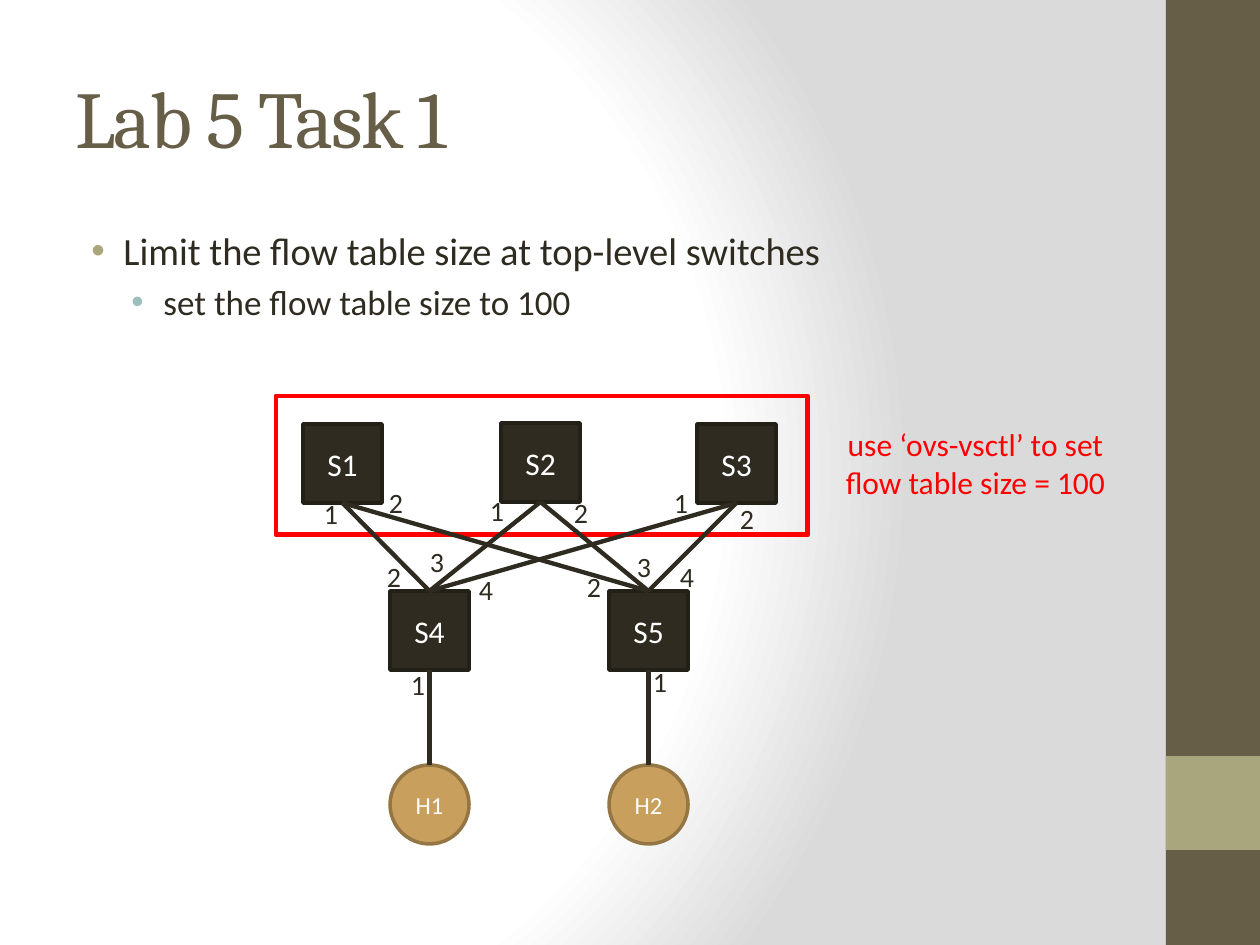
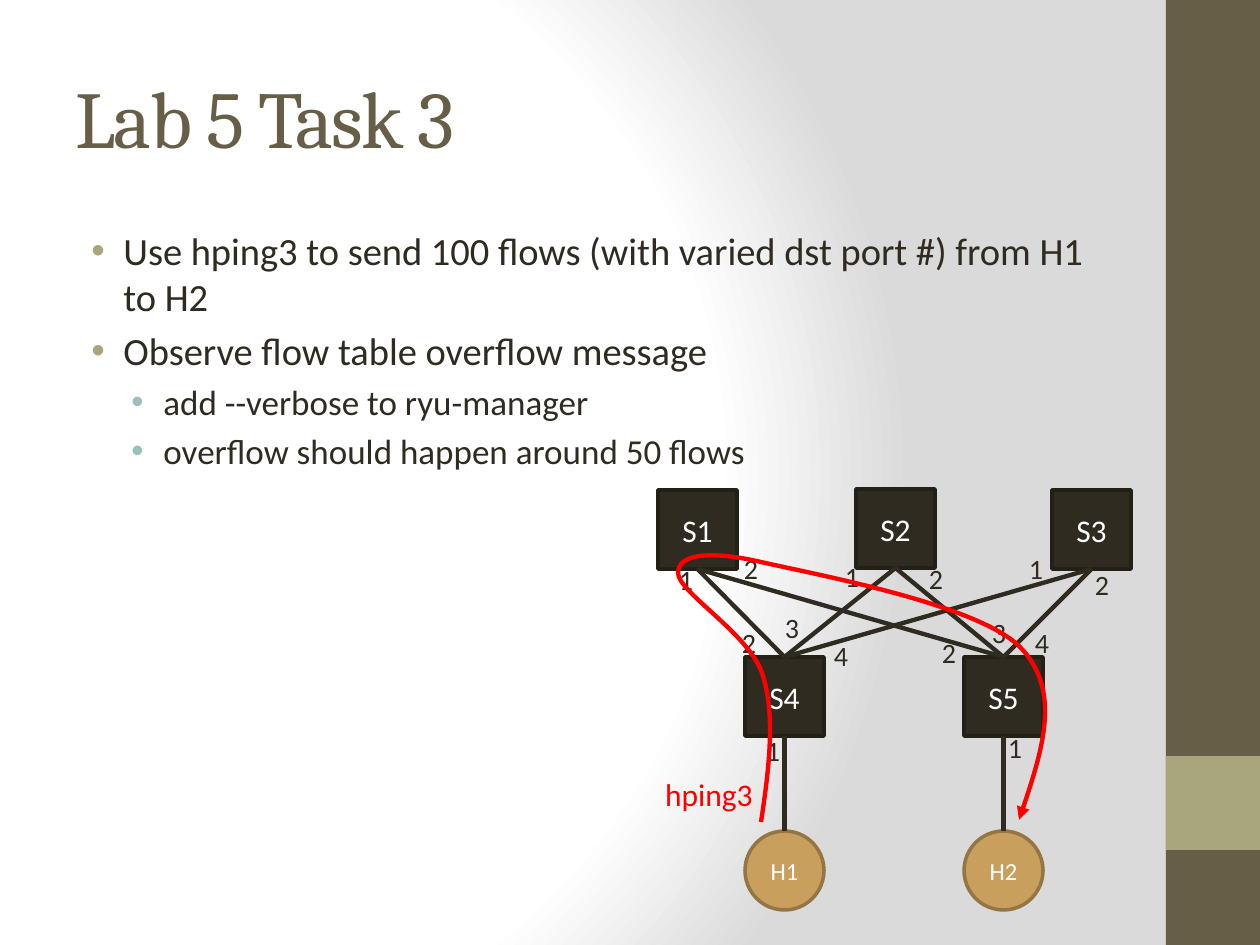
"""Builds two lab slides that show a switch topology."""
import lxml.etree
import pptx
import pptx.dml.color
import pptx.enum.shapes
import pptx.enum.text
import pptx.oxml
import pptx.oxml.ns
import pptx.util

SCALE = 914400 / 126
HEADING, BODY = "Cambria", "Calibri"
BROWN, OLIVE, TEAL = "675E47", "A9A57C", "9CBEBD"
DARK, DARK_EDGE = "2F2B20", "232018"
TAN, TAN_EDGE = "C89F5D", "947645"
RED, WHITE, GREY = "FF0000", "FFFFFF", "DADADA"

RECTANGLE = pptx.enum.shapes.MSO_SHAPE.RECTANGLE
OVAL = pptx.enum.shapes.MSO_SHAPE.OVAL
CENTER = pptx.enum.text.PP_ALIGN.CENTER
MIDDLE = pptx.enum.text.MSO_ANCHOR.MIDDLE
TOP = pptx.enum.text.MSO_ANCHOR.TOP

NODE_SIZE = 79
SWITCHES = {"S1": (303, 424), "S2": (501, 423), "S3": (697, 424),
            "S4": (390, 591), "S5": (609, 591)}
HOSTS = {"H1": (390, 765), "H2": (609, 765)}
LINKS = [(top, bottom) for top in ("S1", "S2", "S3") for bottom in ("S4", "S5")]
LINKS += [("S4", "H1"), ("S5", "H2")]
PORTS = [("1", 309, 499), ("2", 374, 488), ("1", 475, 496), ("2", 559, 498),
         ("1", 659, 488), ("2", 725, 504), ("2", 372, 562), ("3", 415, 547),
         ("4", 464, 575), ("2", 572, 572), ("3", 622, 552), ("4", 665, 562),
         ("1", 396, 670), ("1", 638, 667)]
FLOW_START = (761, 822)
FLOW_CURVE = [(769, 769), (776, 714), (762, 673),
              (748, 633), (678, 592), (678, 573),
              (678, 556), (704, 549), (761, 562),
              (818, 575), (975, 604), (1019, 646),
              (1062, 689), (1041, 755), (1019, 820)]


def emu(*pixels):
    """Turn pixel lengths into a list of EMU lengths."""
    return [pptx.util.Emu(round(value * SCALE)) for value in pixels]


def color(value):
    """Turn a hex string into a colour."""
    return pptx.dml.color.RGBColor.from_string(value)


def tag(name):
    """Give the full XML name of a prefixed tag."""
    return pptx.oxml.ns.qn(name)


def set_line(line, value, width):
    """Set the colour and the width in points of a line."""
    line.color.rgb = color(value)
    line.width = pptx.util.Pt(width)


def add_run(paragraph, text, size, value, font=BODY):
    """Add one formatted run to a paragraph."""
    run = paragraph.add_run()
    run.text = text
    run.font.size = pptx.util.Pt(size)
    run.font.name = font
    run.font.color.rgb = color(value)
    return run


def add_shape(shapes, kind, box, fill=None, edge=None, width=2):
    """Add a preset shape with an optional fill and edge."""
    shape = shapes.add_shape(kind, *emu(*box))
    shape.shadow.inherit = False
    if fill:
        shape.fill.solid()
        shape.fill.fore_color.rgb = color(fill)
    else:
        shape.fill.background()
    if edge:
        set_line(shape.line, edge, width)
    else:
        shape.line.fill.background()
    return shape


def add_text_box(shapes, box, anchor=MIDDLE):
    """Add an empty wrapping text box and return its frame."""
    frame = shapes.add_textbox(*emu(*box)).text_frame
    frame.word_wrap = True
    frame.vertical_anchor = anchor
    return frame


def add_label(shapes, text, box, size, value):
    """Add a centred one-paragraph label."""
    paragraph = add_text_box(shapes, box).paragraphs[0]
    paragraph.alignment = CENTER
    add_run(paragraph, text, size, value)


def add_node(shapes, kind, name, position, size, fill, edge):
    """Add a named switch or host."""
    node = add_shape(shapes, kind, (*position, NODE_SIZE, NODE_SIZE), fill, edge)
    node.text_frame.vertical_anchor = MIDDLE
    node.text_frame.word_wrap = False
    paragraph = node.text_frame.paragraphs[0]
    paragraph.alignment = CENTER
    add_run(paragraph, name, size, WHITE)
    return node


def add_link(shapes, upper, lower):
    """Join the bottom of one node to the top of another."""
    connector = shapes.add_connector(
        pptx.enum.shapes.MSO_CONNECTOR.STRAIGHT,
        upper.left + upper.width // 2, upper.top + upper.height,
        lower.left + lower.width // 2, lower.top)
    connector.begin_connect(upper, 2)
    connector.end_connect(lower, 0)
    set_line(connector.line, DARK, 2.5)
    lxml.etree.SubElement(connector._element.spPr, tag("a:effectLst"))


def add_topology(slide, right=0, down=0):
    """Add the grouped network, moved by the given pixels."""
    shapes = slide.shapes.add_group_shape().shapes
    nodes = {}
    for name, (x, y) in SWITCHES.items():
        nodes[name] = add_node(shapes, RECTANGLE, name, (x + right, y + down),
                               18, DARK, DARK_EDGE)
    for name, (x, y) in HOSTS.items():
        nodes[name] = add_node(shapes, OVAL, name, (x + right, y + down),
                               14, TAN, TAN_EDGE)
    for upper, lower in LINKS:
        add_link(shapes, nodes[upper], nodes[lower])
    for number, x, y in PORTS:
        add_label(shapes, number, (x + right, y + down, 44, 29), 16, DARK)


def add_curve_arrow(slide, start, points):
    """Add a Bezier arrow; each three points make one curve."""
    builder = slide.shapes.build_freeform(*start, scale=SCALE)
    builder.add_line_segments(points, close=False)
    shape = builder.convert_to_shape()
    shape.shadow.inherit = False
    shape.fill.background()
    set_line(shape.line, RED, 2.5)
    segments = list(shape._element.iter(tag("a:lnTo")))
    for index in range(0, len(segments), 3):
        trio = segments[index:index + 3]
        curve = lxml.etree.Element(tag("a:cubicBezTo"))
        trio[0].addprevious(curve)
        for segment in trio:
            curve.append(segment[0])
            segment.getparent().remove(segment)
    outline = shape._element.spPr.find(tag("a:ln"))
    lxml.etree.SubElement(outline, tag("a:tailEnd"), type="triangle")


def add_bullets(slide, items):
    """Add the body list from (level, text) pairs."""
    frame = add_text_box(slide.shapes, (63, 221, 1050, 661), TOP)
    styles = [(48, 22, OLIVE), (88, 20, TEAL)]
    for index, (level, text) in enumerate(items):
        paragraph = frame.add_paragraph() if index else frame.paragraphs[0]
        margin, size, bullet = styles[level]
        paragraph.level = level
        paragraph.space_before = pptx.util.Pt(size * 0.2)
        add_run(paragraph, text, size, DARK)
        properties = paragraph._p.get_or_add_pPr()
        left, indent = emu(margin, -32)
        properties.set("marL", str(left))
        properties.set("indent", str(indent))
        bullet_color = lxml.etree.SubElement(properties, tag("a:buClr"))
        lxml.etree.SubElement(bullet_color, tag("a:srgbClr"), val=bullet)
        lxml.etree.SubElement(properties, tag("a:buFont"), typeface="Arial")
        lxml.etree.SubElement(properties, tag("a:buChar"), char="•")


def set_background(slide):
    """Fill the background with the radial white to grey gradient."""
    slide.background.fill.solid()
    stops = "".join(
        f'<a:gs pos="{position}000"><a:srgbClr val="{value}"/></a:gs>'
        for position, value in ((0, WHITE), (75, WHITE), (100, GREY)))
    gradient = pptx.oxml.parse_xml(
        f'<a:gradFill {pptx.oxml.ns.nsdecls("a")} rotWithShape="1">'
        f'<a:gsLst>{stops}</a:gsLst><a:path path="circle">'
        '<a:fillToRect l="20000" t="50000" r="100000" b="50000"/>'
        '</a:path></a:gradFill>')
    solid = next(slide._element.cSld.iter(tag("a:solidFill")))
    solid.getparent().replace(solid, gradient)


def add_slide(presentation, title, items):
    """Add a slide with the shared background, bands, title and list."""
    slide = presentation.slides.add_slide(presentation.slide_layouts[6])
    set_background(slide)
    add_shape(slide.shapes, RECTANGLE, (1166, 0, 94, 945), BROWN)
    add_shape(slide.shapes, RECTANGLE, (1166, 756, 94, 94), OLIVE)
    frame = add_text_box(slide.shapes, (63, 38, 1050, 157))
    run = add_run(frame.paragraphs[0], title, 46, BROWN, HEADING)
    run._r.get_or_add_rPr().set("spc", "-100")
    add_bullets(slide, items)
    return slide


def main():
    """Build and save the presentation."""
    presentation = pptx.Presentation()
    presentation.slide_width, presentation.slide_height = emu(1260, 945)

    slide = add_slide(presentation, "Lab 5 Task 1", [
        (0, "Limit the flow table size at top-level switches"),
        (1, "set the flow table size to 100")])
    add_shape(slide.shapes, RECTANGLE, (276, 396, 532, 139), edge=RED, width=2.75)
    add_label(slide.shapes, "use ‘ovs-vsctl’ to set flow table size = 100",
              (823, 430, 305, 66), 18, RED)
    add_topology(slide)

    slide = add_slide(presentation, "Lab 5 Task 3", [
        (0, "Use hping3 to send 100 flows (with varied dst port #) from H1 to H2"),
        (0, "Observe flow table overflow message"),
        (1, "add --verbose to ryu-manager"),
        (1, "overflow should happen around 50 flows")])
    add_label(slide.shapes, "hping3", (636, 761, 146, 66), 18, RED)
    add_topology(slide, 355, 66)
    add_curve_arrow(slide, FLOW_START, FLOW_CURVE)

    presentation.save("out.pptx")


main()
